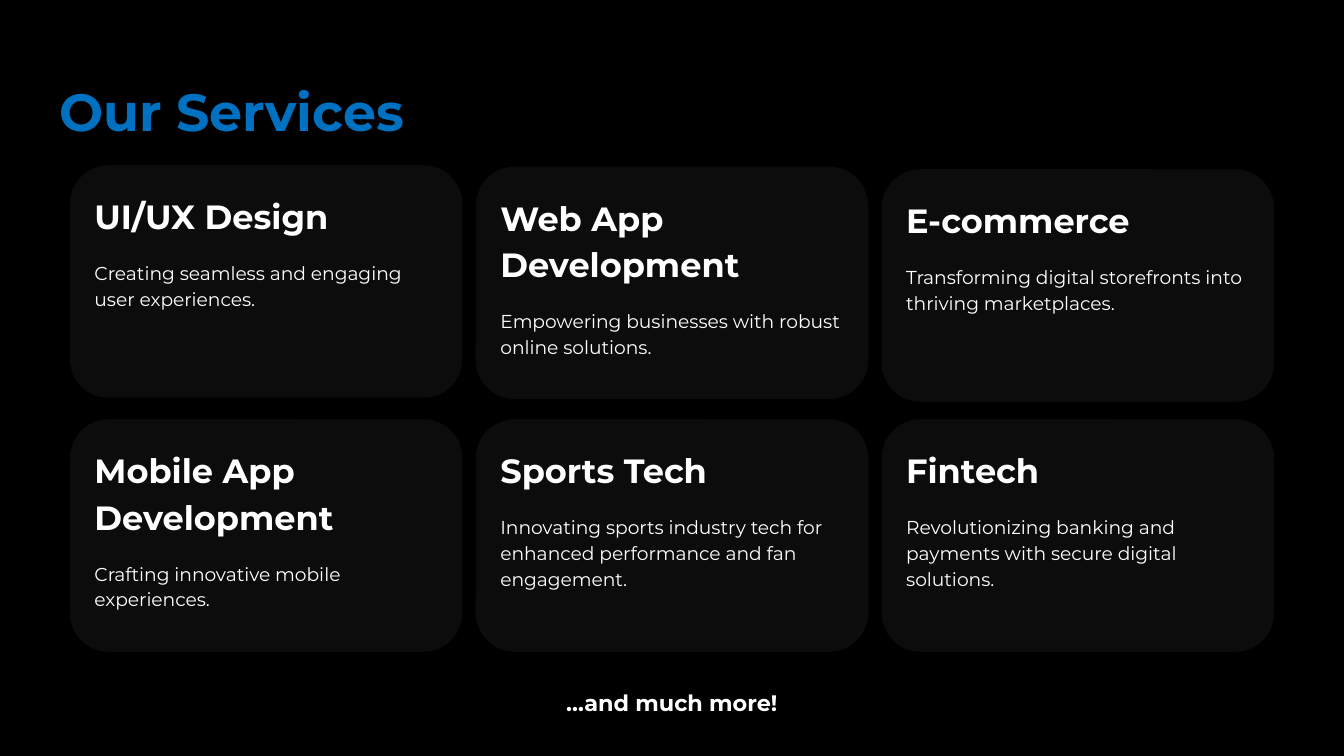
"""Build the Our Services slide with six service cards."""
import pptx
import pptx.dml.color
import pptx.enum.shapes
import pptx.enum.text
import pptx.oxml.ns
import pptx.util
from lxml import etree

Inches = pptx.util.Inches
Pt = pptx.util.Pt
RGBColor = pptx.dml.color.RGBColor
ALIGN = pptx.enum.text.PP_ALIGN

BLACK = RGBColor(0x00, 0x00, 0x00)
BLUE = RGBColor(0x00, 0x70, 0xC0)
WHITE = RGBColor(0xFF, 0xFF, 0xFF)
GRAY = RGBColor(0x0C, 0x0C, 0x0C)

FONT = "Montserrat"
LEFT, STEP = 0.52, 3.02
WIDTH, HEIGHT = 2.92, 1.73
TOPS = [[1.23, 1.24, 1.26], [3.12, 3.12, 3.12]]
CARDS = [
    [
        ("UI/UX Design", "Creating seamless and engaging user experiences."),
        ("Web App Development", "Empowering businesses with robust online solutions."),
        ("E-commerce", "Transforming digital storefronts into thriving marketplaces."),
    ],
    [
        ("Mobile App Development", "Crafting innovative mobile experiences."),
        ("Sports Tech", "Innovating sports industry tech for enhanced performance and fan engagement."),
        ("Fintech", "Revolutionizing banking and payments with secure digital solutions."),
    ],
]


def set_frame(frame):
    frame.word_wrap = True
    frame.auto_size = pptx.enum.text.MSO_AUTO_SIZE.NONE
    frame.vertical_anchor = pptx.enum.text.MSO_ANCHOR.TOP
    frame.margin_left = frame.margin_right = Inches(0.1)
    frame.margin_top = frame.margin_bottom = Inches(0.1)


def set_para(para, text, size, color=WHITE, bold=True, align=ALIGN.LEFT, lines=1.15, before=0):
    para.text = text
    para.alignment = align
    para.line_spacing = lines
    para.space_before = Pt(before)
    for run in para.runs:
        run.font.name = FONT
        run.font.size = Pt(size)
        run.font.bold = bold
        run.font.color.rgb = color


def place(shape, left, top, width, height):
    shape.left, shape.top = Inches(left), Inches(top)
    shape.width, shape.height = Inches(width), Inches(height)
    set_frame(shape.text_frame)


def add_title(slide):
    title = slide.shapes.title
    place(title, 0.34, 0.49, 9.32, 0.67)
    set_para(title.text_frame.paragraphs[0], "Our Services", 28, BLUE, lines=1.0)


def add_closing(slide):
    body = slide.placeholders[1]
    place(body, 3.9, 5, 2.2, 0.38)
    para = body.text_frame.paragraphs[0]
    props = para._p.get_or_add_pPr()
    props.set("marL", "0")
    props.set("indent", "0")
    etree.SubElement(props, pptx.oxml.ns.qn("a:buNone"))
    set_para(para, "…and much more!", 12, align=ALIGN.CENTER)


def add_card(slide, left, top, head, text):
    kind = pptx.enum.shapes.MSO_SHAPE.ROUNDED_RECTANGLE
    card = slide.shapes.add_shape(kind, Inches(left), Inches(top), Inches(WIDTH), Inches(HEIGHT))
    card.shadow.inherit = False
    card.adjustments[0] = 0.167
    card.fill.solid()
    card.fill.fore_color.rgb = GRAY
    card.line.fill.background()
    frame = card.text_frame
    set_frame(frame)
    set_para(frame.paragraphs[0], head, 18)
    set_para(frame.add_paragraph(), text, 10, bold=False, before=12)


def main():
    deck = pptx.Presentation()
    deck.slide_width = Inches(10)
    deck.slide_height = Inches(10 * 9 / 16)
    slide = deck.slides.add_slide(deck.slide_layouts[1])
    slide.background.fill.solid()
    slide.background.fill.fore_color.rgb = BLACK
    add_title(slide)
    add_closing(slide)
    for tops, cards in zip(TOPS, CARDS):
        for col, (top, (head, text)) in enumerate(zip(tops, cards)):
            add_card(slide, LEFT + col * STEP, top, head, text)
    deck.save("out.pptx")


if __name__ == "__main__":
    main()
